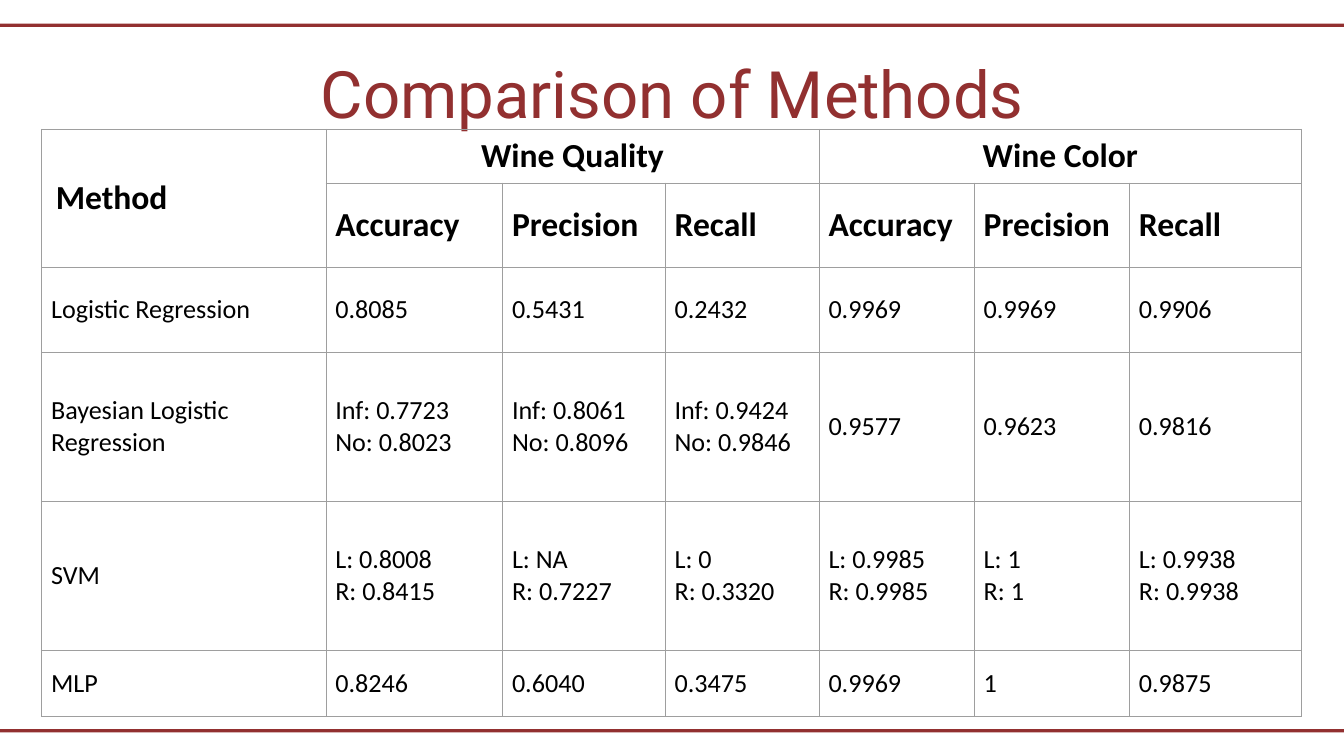
from lxml.etree import SubElement
from pptx import Presentation
from pptx.dml.color import RGBColor
from pptx.enum.shapes import MSO_SHAPE
from pptx.enum.text import MSO_ANCHOR, PP_ALIGN
from pptx.oxml.ns import qn
from pptx.util import Inches, Pt

RED = RGBColor(0x92, 0x30, 0x30)
BLACK = RGBColor(0, 0, 0)
GRAY = RGBColor(0x9E, 0x9E, 0x9E)

COLS = [4.23, 2.63, 2.42, 2.29, 2.31, 2.31, 2.56]
ROWS = [0.77, 1.26, 1.26, 2.22, 2.22, 0.98]
SCORES = ["Accuracy", "Precision", "Recall"]
DATA = [
    ["Method", "Wine Quality", "", "", "Wine Color", "", ""],
    ["", *SCORES, *SCORES],
    ["Logistic Regression", "0.8085", "0.5431", "0.2432",
     "0.9969", "0.9969", "0.9906"],
    ["Bayesian Logistic Regression", "Inf: 0.7723\nNo: 0.8023",
     "Inf: 0.8061\nNo: 0.8096", "Inf: 0.9424\nNo: 0.9846",
     "0.9577", "0.9623", "0.9816"],
    ["SVM", "L: 0.8008\nR: 0.8415", "L: NA\nR: 0.7227",
     "L: 0\nR: 0.3320", "L: 0.9985\nR: 0.9985", "L: 1\nR: 1",
     "L: 0.9938\nR: 0.9938"],
    ["MLP", "0.8246", "0.6040", "0.3475", "0.9969", "1", "0.9875"],
]
MERGES = [(0, 0, 1, 0), (0, 1, 0, 3), (0, 4, 0, 6)]


class Deck:
    def __init__(self, slide):
        self.slide = slide
        self.head = 36
        self.body = 28

    def text(self, frame, words, size, font, color, bold=False, align=PP_ALIGN.LEFT):
        for i, line in enumerate(words.split("\n")):
            para = frame.add_paragraph() if i else frame.paragraphs[0]
            para.alignment = align
            run = para.add_run()
            run.text = line
            run.font.size = Pt(size)
            run.font.name = font
            run.font.bold = bold
            run.font.color.rgb = color

    def bar(self, top):
        shape = self.slide.shapes.add_shape(
            MSO_SHAPE.RECTANGLE, Inches(-0.34), Inches(top), Inches(20.69), Inches(0.05))
        shape.shadow.inherit = False
        shape.fill.solid()
        shape.fill.fore_color.rgb = RED
        shape.line.fill.background()

    def title(self, words):
        box = self.slide.shapes.add_textbox(
            Inches(4.04), Inches(0.53), Inches(11.93), Inches(1.33))
        frame = box.text_frame
        frame.word_wrap = True
        frame.margin_left = frame.margin_right = 0
        frame.margin_top = frame.margin_bottom = 0
        self.text(frame, words, 70, "Roboto", RED, align=PP_ALIGN.CENTER)
        frame.paragraphs[0].line_spacing = Pt(102.9)

    def border(self, cell):
        props = cell._tc.get_or_add_tcPr()
        for side in ("lnL", "lnR", "lnT", "lnB"):
            line = SubElement(props, qn(f"a:{side}"), w=str(Pt(0.5)))
            fill = SubElement(line, qn("a:solidFill"))
            SubElement(fill, qn("a:srgbClr"), val=str(GRAY))

    def cell(self, cell, words, row, col):
        self.border(cell)
        cell.fill.background()
        cell.vertical_anchor = MSO_ANCHOR.MIDDLE
        cell.margin_left = cell.margin_right = Inches(0.14 if row else 0.21)
        cell.margin_top = cell.margin_bottom = Inches(0.14 if row else 0.1)
        if words:
            top = row < 2
            align = PP_ALIGN.CENTER if row == 0 and col else PP_ALIGN.LEFT
            self.text(cell.text_frame, words, self.head if top else self.body,
                      "Calibri", BLACK, top, align)

    def table(self, data):
        grid = self.slide.shapes.add_table(
            len(ROWS), len(COLS), Inches(0.62), Inches(1.92),
            Inches(sum(COLS)), Inches(sum(ROWS))).table
        grid.first_row = grid.horz_banding = False
        for col, width in zip(grid.columns, COLS):
            col.width = Inches(width)
        for row, height in zip(grid.rows, ROWS):
            row.height = Inches(height)
        for r, line in enumerate(data):
            for c, words in enumerate(line):
                self.cell(grid.cell(r, c), words, r, c)
        for top, left, low, right in MERGES:
            grid.cell(top, left).merge(grid.cell(low, right))


def main():
    prs = Presentation()
    prs.slide_width = Inches(20)
    prs.slide_height = Inches(11.25)
    deck = Deck(prs.slides.add_slide(prs.slide_layouts[6]))
    for top in (0.35, 10.85):
        deck.bar(top)
    deck.title("Comparison of Methods")
    deck.table(DATA)
    prs.save("out.pptx")


if __name__ == "__main__":
    main()
